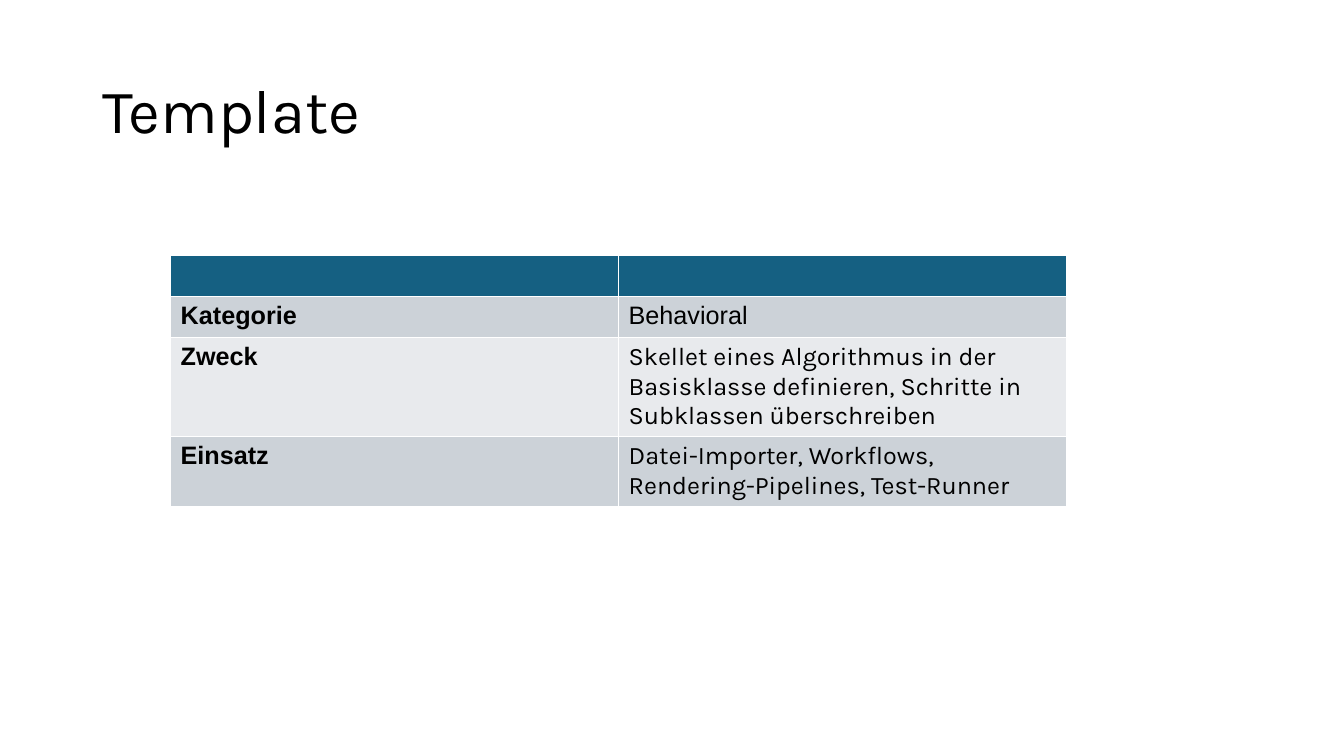
from dataclasses import dataclass

from pptx import Presentation
from pptx import util as u
from pptx.dml import color
from pptx.enum import text
from pptx.slide import Slide
from pptx.table import _Cell

COLORS = {
    "text": "000000",
    "header": "156082",
    "band_dark": "CCD2D8",
    "band_light": "E8EAED",
}


@dataclass(frozen=True)
class Aspect:
    label: str
    detail: str
    height: float
    fill: str
    font: str = "Karla"
    anchor: text.MSO_ANCHOR = text.MSO_ANCHOR.TOP


ASPECTS = [
    Aspect("", "", 1.03, "header"),
    Aspect("Kategorie", "Behavioral", 1.03, "band_dark", font="Arial"),
    Aspect(
        "Zweck",
        "Skellet eines Algorithmus in der Basisklasse definieren, "
        "Schritte in Subklassen überschreiben",
        2.48,
        "band_light",
    ),
    Aspect(
        "Einsatz",
        "Datei-Importer, Workflows, Rendering-Pipelines, Test-Runner",
        1.77,
        "band_dark",
        anchor=text.MSO_ANCHOR.MIDDLE,
    ),
]


def rgb(name: str) -> color.RGBColor:
    return color.RGBColor.from_string(COLORS[name])


def style_paragraph(paragraph, font: str, size: float, bold: bool = False) -> None:
    paragraph.font.name = font
    paragraph.font.size = u.Pt(size)
    paragraph.font.bold = bold
    paragraph.font.color.rgb = rgb("text")


def fill_cell(cell: _Cell, wording: str, fill: str, font: str, bold: bool) -> None:
    cell.fill.solid()
    cell.fill.fore_color.rgb = rgb(fill)
    cell.text = wording
    style_paragraph(cell.text_frame.paragraphs[0], font, 18, bold)


def add_heading(slide: Slide, wording: str) -> None:
    heading = slide.shapes.title
    heading.left, heading.top = u.Cm(2.33), u.Cm(1.01)
    heading.width, heading.height = u.Cm(29.21), u.Cm(3.68)
    frame = heading.text_frame
    frame.text = wording
    frame.auto_size = text.MSO_AUTO_SIZE.NONE
    frame.vertical_anchor = text.MSO_ANCHOR.MIDDLE
    paragraph = frame.paragraphs[0]
    paragraph.alignment = text.PP_ALIGN.LEFT
    paragraph.line_spacing = 0.9
    style_paragraph(paragraph, "Karla", 44)


def add_aspects(slide: Slide, aspects: list[Aspect]) -> None:
    total = sum(aspect.height for aspect in aspects)
    overview = slide.shapes.add_table(
        len(aspects), 2, u.Cm(4.3), u.Cm(6.44), u.Cm(22.58), u.Cm(total)
    ).table
    for row, aspect in zip(overview.rows, aspects):
        row.height = u.Cm(aspect.height)
        label, detail = row.cells
        fill_cell(label, aspect.label, aspect.fill, "Arial", True)
        fill_cell(detail, aspect.detail, aspect.fill, aspect.font, False)
        detail.vertical_anchor = aspect.anchor


def main() -> None:
    deck = Presentation()
    deck.slide_width, deck.slide_height = u.Cm(33.87), u.Cm(19.05)
    slide = deck.slides.add_slide(deck.slide_layouts[5])
    add_heading(slide, "Template")
    add_aspects(slide, ASPECTS)
    deck.save("out.pptx")


if __name__ == "__main__":
    main()
